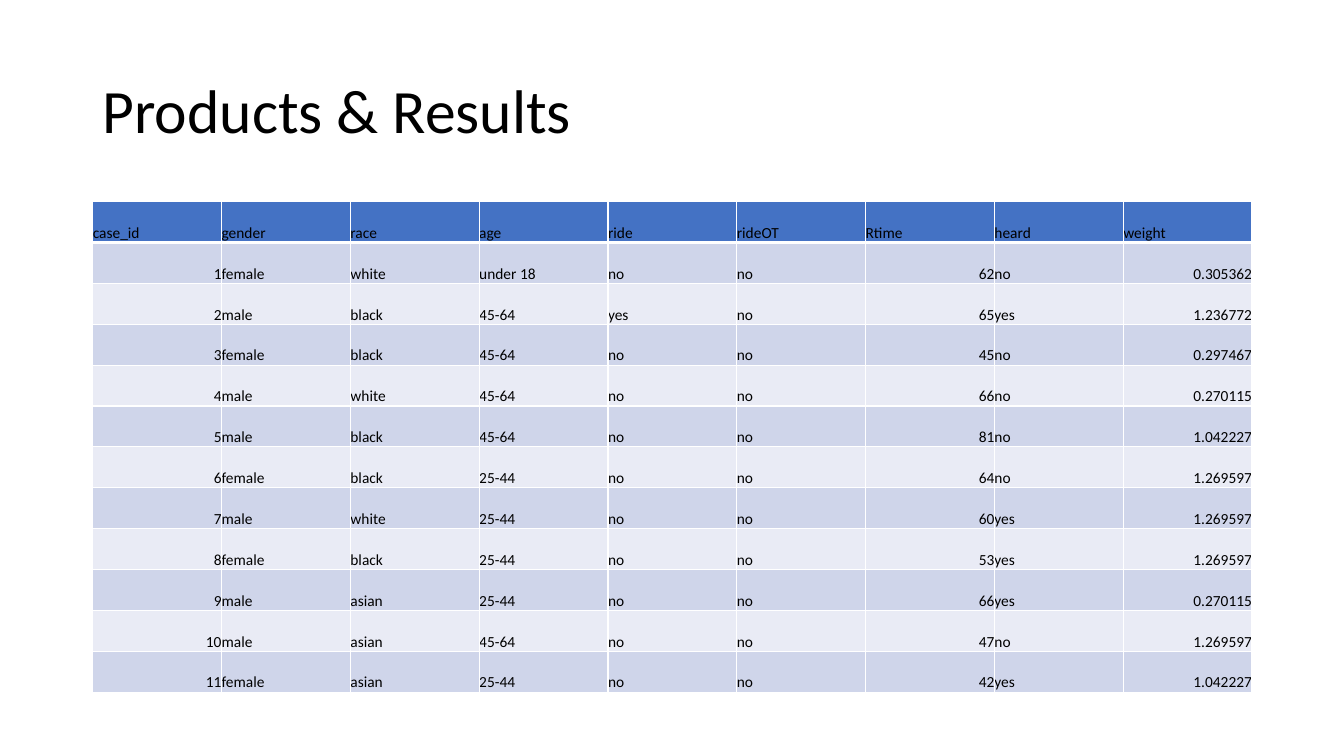
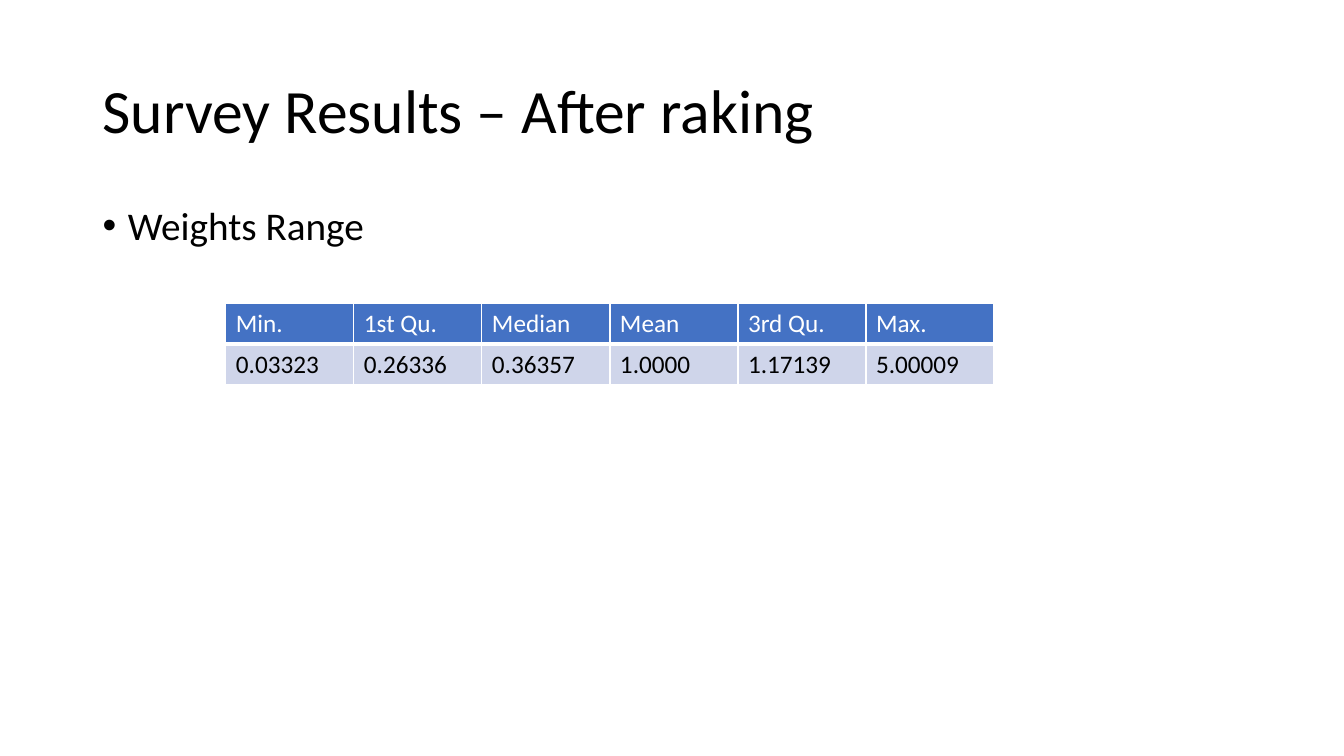
"""Build two survey result slides: the weighted cases and the range of weights."""
from pptx import Presentation
from pptx.dml.color import RGBColor
from pptx.enum import text
from pptx.oxml.ns import qn
from pptx.util import Inches, Pt
from lxml import etree

FONT = "Calibri"
BLACK = RGBColor(0x00, 0x00, 0x00)
WHITE = RGBColor(0xFF, 0xFF, 0xFF)
HEADER_BLUE = RGBColor(0x44, 0x72, 0xC4)
BANDS = (RGBColor(0xCF, 0xD5, 0xEA), RGBColor(0xE9, 0xEB, 0xF5))

LEFT, CONTENT_TOP, CONTENT_WIDTH = 0.92, 2, 11.5

CASES_TITLE = "Products & Results"
CASE_FIELDS = ("case_id", "gender", "race", "age", "ride", "rideOT", "Rtime", "heard", "weight")
NUMERIC_FIELDS = ("case_id", "Rtime", "weight")
CASES = [
    ("1", "female", "white", "under 18", "no", "no", "62", "no", "0.305362"),
    ("2", "male", "black", "45-64", "yes", "no", "65", "yes", "1.236772"),
    ("3", "female", "black", "45-64", "no", "no", "45", "no", "0.297467"),
    ("4", "male", "white", "45-64", "no", "no", "66", "no", "0.270115"),
    ("5", "male", "black", "45-64", "no", "no", "81", "no", "1.042227"),
    ("6", "female", "black", "25-44", "no", "no", "64", "no", "1.269597"),
    ("7", "male", "white", "25-44", "no", "no", "60", "yes", "1.269597"),
    ("8", "female", "black", "25-44", "no", "no", "53", "yes", "1.269597"),
    ("9", "male", "asian", "25-44", "no", "no", "66", "yes", "0.270115"),
    ("10", "male", "asian", "45-64", "no", "no", "47", "no", "1.269597"),
    ("11", "female", "asian", "25-44", "no", "no", "42", "yes", "1.042227"),
]

RANGE_TITLE = "Survey Results – After raking"
RANGE_POINT = "Weights Range"
RANGE_FIELDS = ("Min.", "1st Qu.", "Median", "Mean", "3rd Qu.", "Max.")
RANGE_VALUES = ("0.03323", "0.26336", "0.36357", "1.0000", "1.17139", "5.00009")


def style_runs(paragraph, size, color):
    for run in paragraph.runs:
        run.font.name, run.font.size = FONT, Pt(size)
        run.font.color.rgb = color


def add_text(slide, wording, top, height, size, anchor):
    frame = slide.shapes.add_textbox(
        Inches(LEFT), Inches(top), Inches(CONTENT_WIDTH), Inches(height)).text_frame
    frame.word_wrap = True
    frame.vertical_anchor = anchor
    frame.text = wording
    paragraph = frame.paragraphs[0]
    paragraph.line_spacing = 0.9
    style_runs(paragraph, size, BLACK)
    return paragraph


def add_titled_slide(deck, title):
    slide = deck.slides.add_slide(deck.slide_layouts[6])
    add_text(slide, title, 0.4, 1.45, 44, text.MSO_ANCHOR.MIDDLE)
    return slide


def add_bullet(paragraph, indent):
    paragraph.space_before = Pt(10)
    properties = paragraph._p.get_or_add_pPr()
    properties.set("marL", str(Inches(indent)))
    properties.set("indent", str(-Inches(indent)))
    etree.SubElement(properties, qn("a:buFont"), typeface="Arial")
    etree.SubElement(properties, qn("a:buChar"), char="•")


def add_borders(cell, row):
    widths = {"L": 1, "R": 1, "T": 3 if row == 1 else 1, "B": 3 if row == 0 else 1}
    properties = cell._tc.get_or_add_tcPr()
    for side, width in widths.items():
        line = etree.SubElement(properties, qn(f"a:ln{side}"), w=str(Pt(width)))
        fill = etree.SubElement(line, qn("a:solidFill"))
        etree.SubElement(fill, qn("a:srgbClr"), val=str(WHITE))


def add_banded_table(slide, fields, records, box, size, header_color, anchor,
                     numeric=(), inset=None):
    rows = [fields, *records]
    table = slide.shapes.add_table(len(rows), len(fields), *map(Inches, box)).table
    for r, record in enumerate(rows):
        for c, value in enumerate(record):
            cell = table.cell(r, c)
            add_borders(cell, r)
            cell.fill.solid()
            cell.fill.fore_color.rgb = BANDS[(r - 1) % 2] if r else HEADER_BLUE
            cell.vertical_anchor = anchor
            if inset is not None:
                cell.margin_left = cell.margin_right = Inches(inset)
                cell.margin_top = cell.margin_bottom = Inches(inset)
            cell.text_frame.text = value
            paragraph = cell.text_frame.paragraphs[0]
            if r and fields[c] in numeric:
                paragraph.alignment = text.PP_ALIGN.RIGHT
            style_runs(paragraph, size, BLACK if r else header_color)
            for run in paragraph.runs:
                run.font.bold = False


def main():
    deck = Presentation()
    deck.slide_width, deck.slide_height = Inches(13.33), Inches(7.5)

    cases = add_titled_slide(deck, CASES_TITLE)
    add_banded_table(cases, CASE_FIELDS, CASES, (LEFT, CONTENT_TOP, CONTENT_WIDTH, 4.87),
                     11, BLACK, text.MSO_ANCHOR.BOTTOM, NUMERIC_FIELDS, 0)

    weights = add_titled_slide(deck, RANGE_TITLE)
    point = add_text(weights, RANGE_POINT, CONTENT_TOP, 4.76, 28, text.MSO_ANCHOR.TOP)
    add_bullet(point, 0.25)
    add_banded_table(weights, RANGE_FIELDS, [RANGE_VALUES], (2.24, 3.01, 7.62, 0.81),
                     18, WHITE, text.MSO_ANCHOR.TOP)

    deck.save("out.pptx")


if __name__ == "__main__":
    main()
